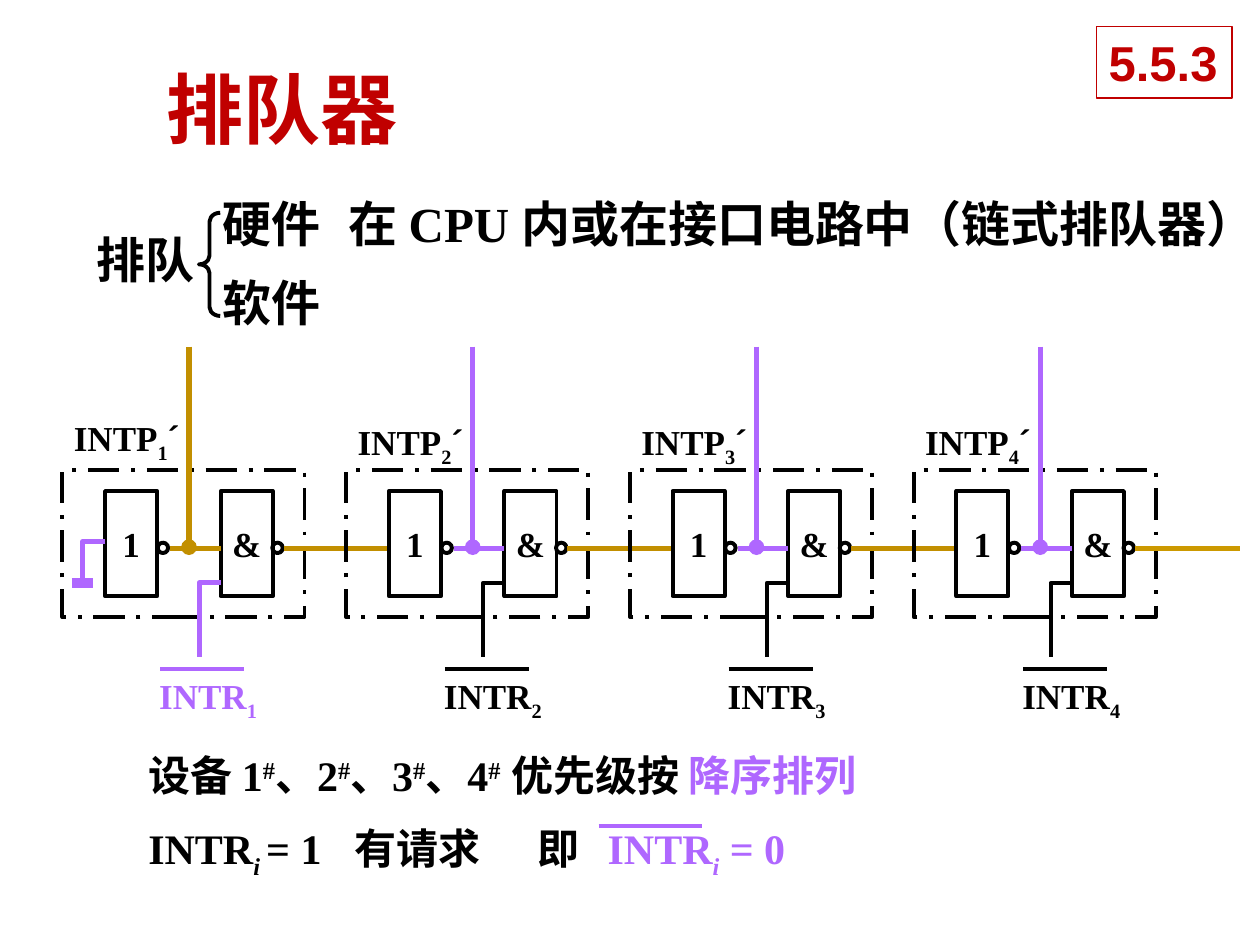
from lxml import etree
from pptx import Presentation
from pptx import util as u
from pptx.dml.color import RGBColor
from pptx.enum import dml, shapes, text
from pptx.oxml import ns

Cm, Pt = u.Cm, u.Pt
HUE = {"ink": "000000", "red": "C00000", "violet": "AF67FF",
       "gold": "C28F00", "amber": "CC9900", "white": "FFFFFF"}
SERIF, SANS, HAN = "Times New Roman", "Arial", "Noto Sans CJK SC"
KIND = shapes.MSO_SHAPE

deck = Presentation()
deck.slide_width, deck.slide_height = Cm(25.4), Cm(19.05)
slide = deck.slides.add_slide(deck.slide_layouts[5])
items = slide.shapes


def write(shape, runs, size, hue="ink", font=SERIF, wrap=False, align=text.PP_ALIGN.LEFT):
    """Fill a shape with runs of (text, baseline percent, overrides)."""
    frame = shape.text_frame
    frame.word_wrap = wrap
    para = frame.paragraphs[0]
    para.alignment = align
    for words, base, extra in runs:
        run = para.add_run()
        run.text = words
        face = run.font
        face.size, face.bold = Pt(size), True
        face.italic = extra.get("italic", False)
        face.name = extra.get("font", font)
        face.color.rgb = RGBColor.from_string(HUE[extra.get("hue", hue)])
        props = run._r.get_or_add_rPr()
        if base:
            props.set("baseline", str(base * 1000))
        etree.SubElement(props, ns.qn("a:ea")).set("typeface", HAN)
    return para


def trace(points, hue="ink", width=2.25, dot=False):
    """Draw a straight connector, or an open outline when there is a bend."""
    spots = [(Cm(x), Cm(y)) for x, y in points]
    if len(spots) == 2:
        path = items.add_connector(shapes.MSO_CONNECTOR.STRAIGHT, *spots[0], *spots[1])
        etree.SubElement(path._element.spPr, ns.qn("a:effectLst"))
    else:
        pen = items.build_freeform(*spots[0])
        pen.add_line_segments(spots[1:], close=False)
        path = pen.convert_to_shape()
        path.fill.background()
        path.shadow.inherit = False
    path.line.color.rgb = RGBColor.from_string(HUE[hue])
    path.line.width = Pt(width)
    if dot:
        etree.SubElement(path.line._get_or_add_ln(), ns.qn("a:tailEnd")).set("type", "oval")


# Title
title = items.title
title.left, title.top, title.width, title.height = map(Cm, (3.1, 1.12, 21.39, 2.11))
title.text_frame.auto_size = text.MSO_AUTO_SIZE.NONE
title.text_frame.vertical_anchor = text.MSO_ANCHOR.MIDDLE
write(title, [("排队器", 0, {})], 44, "red", HAN, wrap=True)

# Two ways of queueing
for words, x, y, w, wrap in (
    ("排队", 1.7, 4.5, 2.49, False),
    ("在 CPU 内或在接口电路中（链式排队器）", 6.78, 3.78, 18.92, True),
    ("硬件", 4.24, 3.78, 2.49, False),
    ("软件", 4.24, 5.36, 2.49, False),
):
    note = items.add_textbox(Cm(x), Cm(y), Cm(w), Cm(1.45))
    write(note, [(words, 0, {})], 28, wrap=wrap)

brace = items.add_shape(KIND.LEFT_BRACE, Cm(4.01), Cm(4.29), Cm(0.43), Cm(2.08))
brace.adjustments[0] = 0.41
brace.fill.background()
brace.line.color.rgb = RGBColor.from_string(HUE["ink"])
brace.line.width = Pt(2.25)
brace.shadow.inherit = False

# Chain of four stages
STEP, RAIL, LOW = 5.72, 11.05, 11.75
ASK = (2.96, 8.7, 14.42, 20.36)
for i, ask in enumerate(ASK):
    dx, num = i * STEP, str(i + 1)
    first, last = i == 0, i == len(ASK) - 1

    label = items.add_textbox(Cm(1.24 + dx), Cm(8.28 if first else 8.36), Cm(2.79), Cm(1.09))
    write(label, [("INTP", 0, {}), (num, -25, {}), ("´", 0, {"font": SANS})], 20)

    # Frame, gates and inverting bubbles
    for kind, x, y, w, h, sign in (
        (KIND.RECTANGLE, 1.26, 9.47, 4.88, 2.97, ""),
        (KIND.RECTANGLE, 2.12, 9.9, 1.05, 2.12, "1"),
        (KIND.RECTANGLE, 4.45, 9.9, 1.05, 2.12, "&"),
        (KIND.OVAL, 3.18, 10.94, 0.21, 0.21, ""),
        (KIND.OVAL, 5.49, 10.94, 0.21, 0.21, ""),
    ):
        part = items.add_shape(kind, Cm(x + dx), Cm(y), Cm(w), Cm(h))
        part.fill.background()
        part.line.color.rgb = RGBColor.from_string(HUE["ink"])
        part.line.width = Pt(2.25)
        part.shadow.inherit = False
        if w > 2:
            part.line.dash_style = dml.MSO_LINE.LONG_DASH_DOT
        if sign:
            write(part, [(sign, 0, {})], 20, align=text.PP_ALIGN.CENTER)

    # Wires
    live = "gold" if first else "violet"
    call = "violet" if first else "ink"
    trace([(3.81 + dx, 6.99), (3.81 + dx, 11.03)], live, 3, dot=True)
    trace([(3.43 + dx, RAIL), (4.45 + dx, RAIL)], live, 3)
    trace([(5.72 + dx, RAIL), (7.83 + dx, RAIL)], "amber" if last else "gold", 3)
    trace([(4.45 + dx, LOW), (4.02 + dx, LOW), (4.02 + dx, 13.24)], call, 3 if first else 2.25)

    # Request with overline
    label = items.add_textbox(Cm(ask), Cm(13.47), Cm(2.51), Cm(1.09))
    write(label, [("INTR", 0, {}), (num, -25, {})], 20, call)
    trace([(ask + 0.27, 13.49), (ask + 1.96, 13.49)], call)

# Ground at the first input
trace([(2.12, 10.92), (1.67, 10.92), (1.67, LOW)], "violet", 3)
trace([(1.45, LOW), (1.88, LOW)], "violet", 6)

# Priority order
rank = [("设备 1", 0, {})]
for num in "234":
    rank += [("#", 30, {}), ("、" + num, 0, {})]
rank += [("#", 30, {}), (" 优先级按 ", 0, {}), ("降序排列", 0, {"hue": "violet"})]
note = items.add_textbox(Cm(2.74), Cm(14.99), Cm(20.32), Cm(1.27))
write(note, rank, 24, wrap=True)

# Request rule
note = items.add_textbox(Cm(2.74), Cm(16.46), Cm(20.32), Cm(1.27))
para = write(note, [
    ("INTR", 0, {}), ("i ", -25, {"italic": True}), ("= 1\t有请求\t即\t", 0, {}),
    ("INTR", 0, {"hue": "violet"}), ("i", -25, {"hue": "violet", "italic": True}),
    (" = 0", 0, {"hue": "violet"}),
], 24, wrap=True)
tabs = etree.SubElement(para._p.get_or_add_pPr(), ns.qn("a:tabLst"))
for stop in (4.16, 7.85, 9.26):
    tab = etree.SubElement(tabs, ns.qn("a:tab"))
    tab.set("pos", str(Cm(stop)))
    tab.set("algn", "l")
trace([(12.07, 16.66), (14.15, 16.66)], "violet")

# Section number
badge = items.add_shape(KIND.RECTANGLE, Cm(22.1), Cm(0.53), Cm(2.74), Cm(1.45))
badge.fill.solid()
badge.fill.fore_color.rgb = RGBColor.from_string(HUE["white"])
badge.line.color.rgb = RGBColor.from_string(HUE["red"])
badge.line.width = Pt(0.75)
badge.shadow.inherit = False
write(badge, [("5.5.3", 0, {})], 28, "red", SANS)

deck.save("out.pptx")
